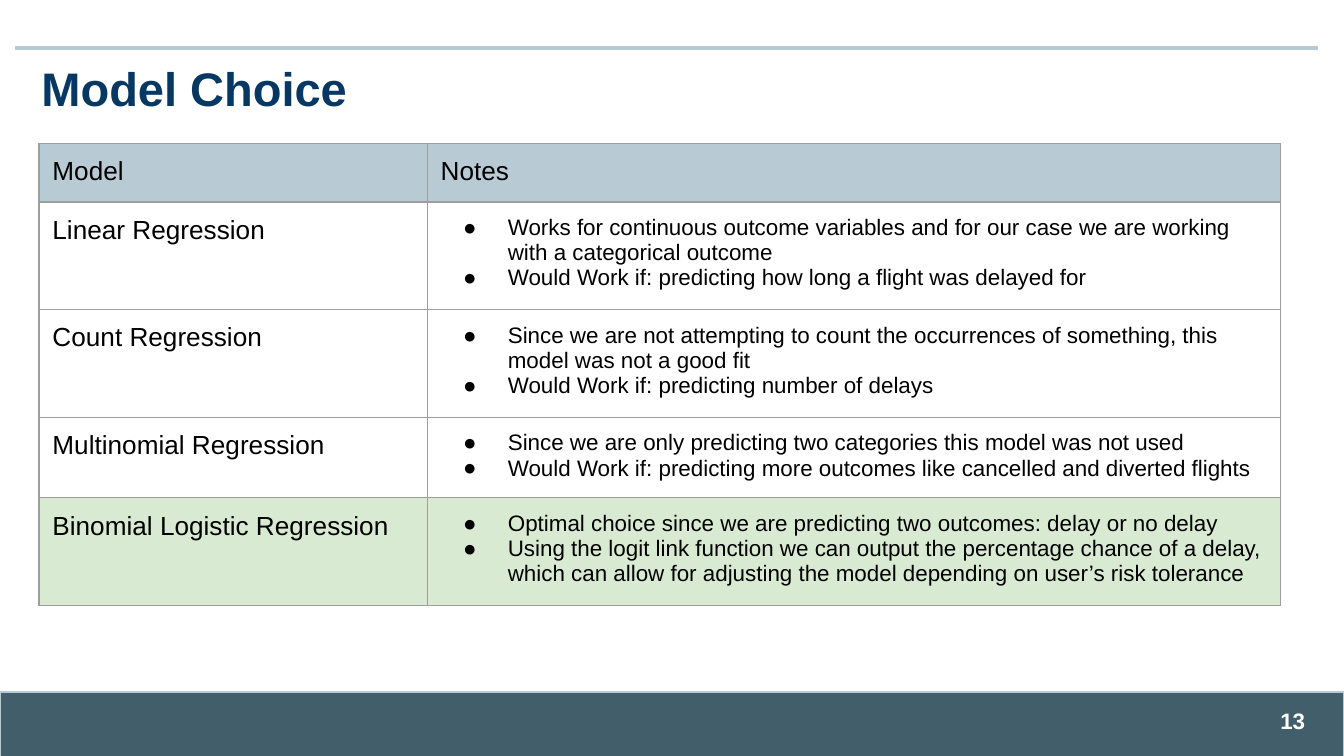
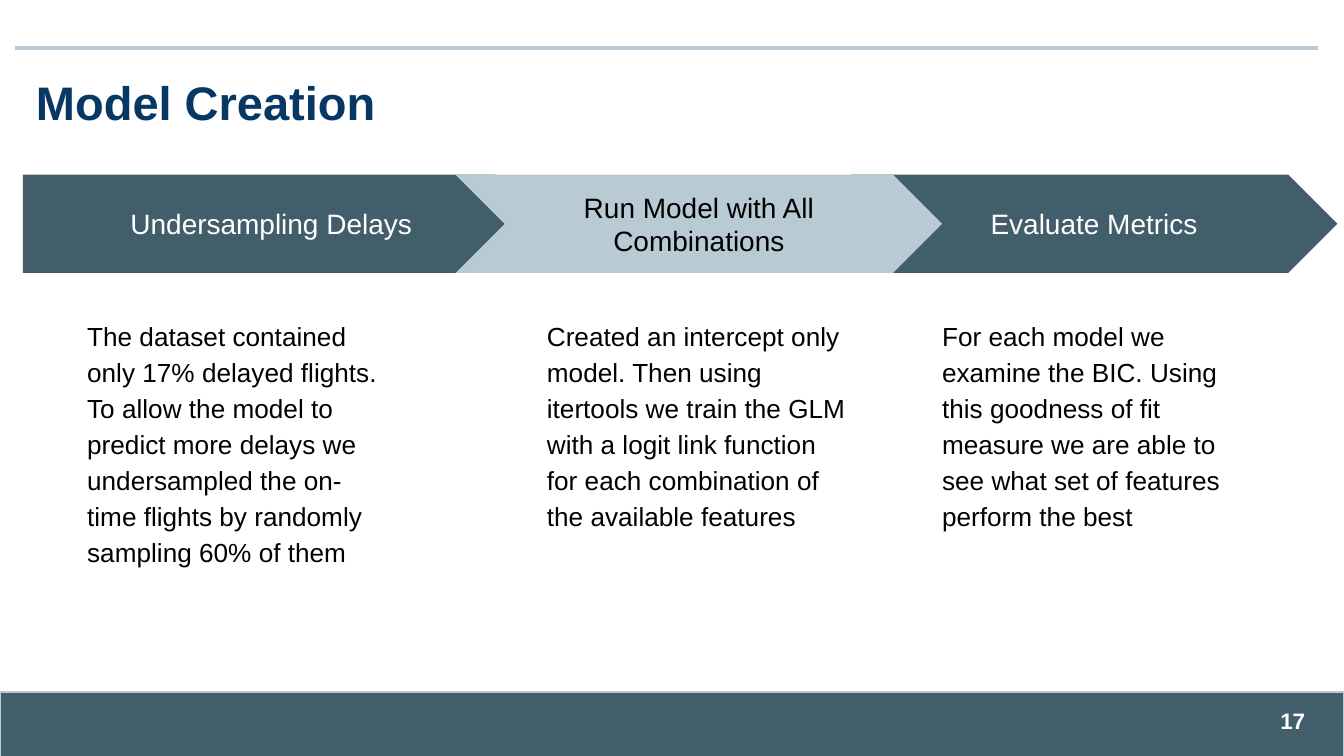
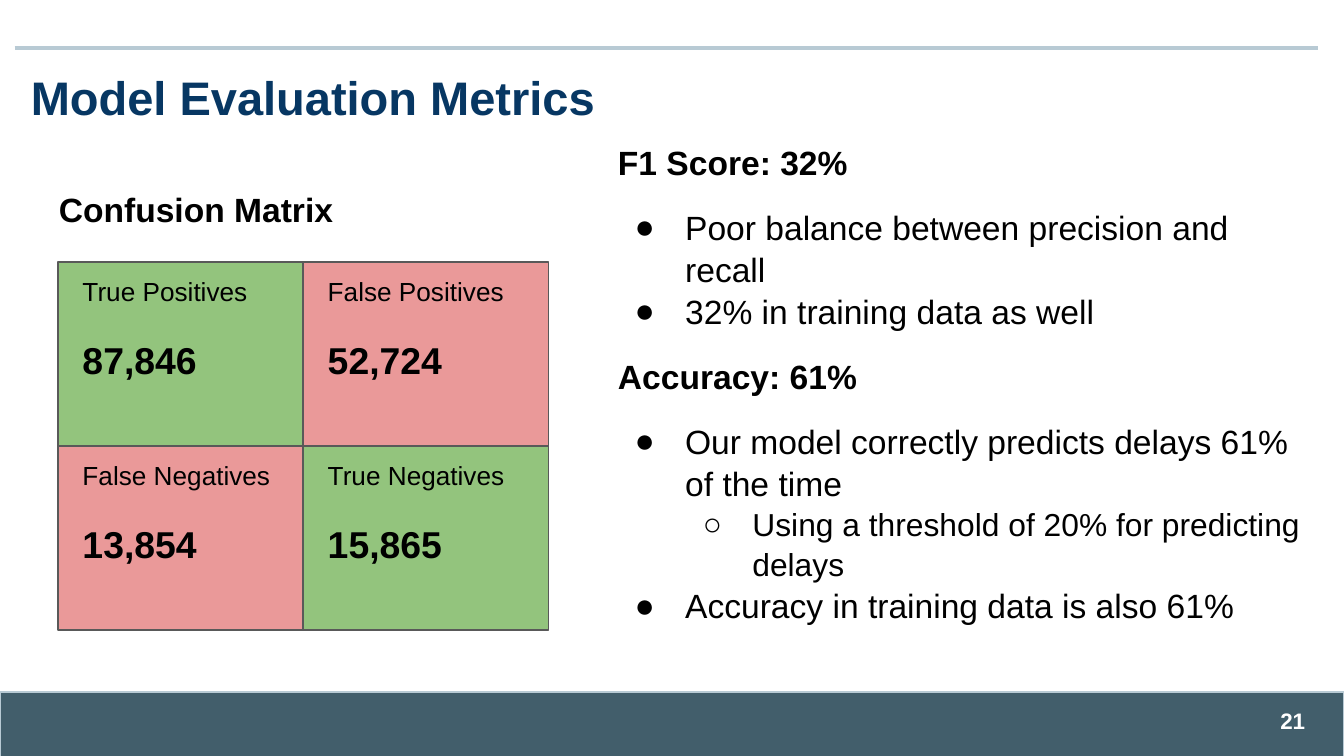
from lxml.etree import SubElement
from pptx import Presentation
from pptx.dml.color import RGBColor
from pptx.enum.shapes import MSO_CONNECTOR, MSO_SHAPE
from pptx.enum.text import MSO_ANCHOR, PP_ALIGN
from pptx.oxml.ns import qn
from pptx.util import Pt

COLORS = {
    "slate": "425E6B",
    "mist": "B8CAD4",
    "navy": "073763",
    "black": "000000",
    "white": "FFFFFF",
    "grid": "9E9E9E",
    "chosen": "D9EAD3",
    "right": "93C47D",
    "wrong": "EA9999",
    "outline": "595959",
}
FONT = "Arial"
INSET = 7.2
BLANK_LAYOUT = 6


def color(name):
    return RGBColor.from_string(COLORS[name])


def add_bullet(paragraph, symbol, indent, hanging):
    properties = paragraph._p.get_or_add_pPr()
    properties.set("marL", str(Pt(indent)))
    properties.set("indent", str(-Pt(hanging)))
    bullet_color = SubElement(properties, qn("a:buClr"))
    SubElement(bullet_color, qn("a:srgbClr"), val=COLORS["black"])
    SubElement(properties, qn("a:buFont"), typeface=FONT)
    SubElement(properties, qn("a:buChar"), char=symbol)


def write(frame, text, size=14, ink="black", bold=False, align=PP_ALIGN.LEFT,
          spacing=None, before=0, after=0, bullet=None, indent=36, hanging=24):
    """Add one paragraph, reusing the first one of an empty frame."""
    paragraph = frame.add_paragraph() if frame.text else frame.paragraphs[0]
    paragraph.alignment = align
    paragraph.space_before = Pt(before)
    paragraph.space_after = Pt(after)
    if spacing:
        paragraph.line_spacing = spacing
    if bullet:
        add_bullet(paragraph, bullet, indent, hanging)
    run = paragraph.add_run()
    run.text = text
    run.font.name = FONT
    run.font.size = Pt(size)
    run.font.bold = bold
    run.font.color.rgb = color(ink)


def prepare_frame(frame, anchor=MSO_ANCHOR.TOP, inset_y=INSET):
    frame.word_wrap = True
    frame.vertical_anchor = anchor
    frame.margin_left = frame.margin_right = Pt(INSET)
    frame.margin_top = frame.margin_bottom = Pt(inset_y)
    return frame


def add_text_box(slide, box, **frame_format):
    text_box = slide.shapes.add_textbox(*map(Pt, box))
    return prepare_frame(text_box.text_frame, **frame_format)


def add_filled_shape(slide, kind, box, fill, line=None, line_width=0.75):
    shape = slide.shapes.add_shape(kind, *map(Pt, box))
    shape.shadow.inherit = False
    shape.fill.solid()
    shape.fill.fore_color.rgb = color(fill)
    if line:
        shape.line.color.rgb = color(line)
        shape.line.width = Pt(line_width)
    else:
        shape.line.fill.background()
    return shape


def add_top_rule(slide, left, right, y):
    rule = slide.shapes.add_connector(
        MSO_CONNECTOR.STRAIGHT, Pt(left), Pt(y), Pt(right), Pt(y))
    rule.line.color.rgb = color("mist")
    rule.line.width = Pt(2)
    SubElement(rule._element.spPr, qn("a:effectLst"))


def add_footer(slide, box, number):
    left, top, width, height = box
    add_filled_shape(slide, MSO_SHAPE.RECTANGLE, box, "slate", "mist", 1)
    number_box = (left + width - 54, top + 4.3, 40.3, 21.6)
    frame = add_text_box(slide, number_box, anchor=MSO_ANCHOR.MIDDLE, inset_y=3.6)
    write(frame, number, size=12, ink="white", bold=True, align=PP_ALIGN.RIGHT)


def start_slide(presentation, title, title_left, title_top, number):
    slide = presentation.slides.add_slide(presentation.slide_layouts[BLANK_LAYOUT])
    add_footer(slide, (0, 370.8, 720, 35.3), number)
    add_top_rule(slide, 7.9, 706.3, 25.9)
    frame = add_text_box(slide, (title_left, title_top, 671, 45.4))
    write(frame, title, size=25.2, ink="navy", bold=True)
    return slide


def format_cell(cell, fill):
    prepare_frame(cell.text_frame)
    cell.margin_left = cell.margin_right = Pt(INSET)
    cell.margin_top = cell.margin_bottom = Pt(INSET)
    properties = cell._tc.get_or_add_tcPr()
    for side in ("lnL", "lnR", "lnT", "lnB"):
        border = SubElement(properties, qn(f"a:{side}"), w=str(Pt(0.75)))
        border_fill = SubElement(border, qn("a:solidFill"))
        SubElement(border_fill, qn("a:srgbClr"), val=COLORS["grid"])
    if fill:
        cell.fill.solid()
        cell.fill.fore_color.rgb = color(fill)
    else:
        cell.fill.background()


def add_model_table(slide, left, top, column_widths, rows):
    """Each row is (height, fill, model, notes); a plain string is a heading."""
    heights = [row[0] for row in rows]
    table = slide.shapes.add_table(
        len(rows), len(column_widths), Pt(left), Pt(top),
        Pt(sum(column_widths)), Pt(sum(heights))).table
    table.first_row = table.horz_banding = False
    for column, width in zip(table.columns, column_widths):
        column.width = Pt(width)
    for index, (height, fill, model, notes) in enumerate(rows):
        table.rows[index].height = Pt(height)
        model_cell, notes_cell = table.rows[index].cells
        for cell in (model_cell, notes_cell):
            format_cell(cell, fill)
        write(model_cell.text_frame, model)
        if isinstance(notes, str):
            write(notes_cell.text_frame, notes)
        else:
            for note in notes:
                write(notes_cell.text_frame, note, size=12, bullet="●")


def add_step(slide, kind, box, text_indent, fill, ink, heading, description):
    left, top, width, height = box
    arrow = add_filled_shape(slide, kind, box, fill)
    frame = prepare_frame(arrow.text_frame, anchor=MSO_ANCHOR.MIDDLE)
    write(frame, heading, size=15, ink=ink, align=PP_ALIGN.CENTER)
    frame = add_text_box(slide, (left + text_indent, top + 68.4, 176.4, 206))
    write(frame, description, spacing=1.15)


def add_confusion_matrix(slide, box, cells):
    left, top, width, height = box
    cell_width, cell_height = width / 2, height / 2
    for index, (label, count, fill) in enumerate(cells):
        row, column = divmod(index, 2)
        x, y = left + column * cell_width, top + row * cell_height
        add_filled_shape(slide, MSO_SHAPE.RECTANGLE,
                         (x, y, cell_width, cell_height), fill, "outline")
        frame = add_text_box(slide, (x + 6.1, y, 118.8, 16))
        write(frame, label)
        write(frame, count, size=20, bold=True, before=16)


def add_scores(slide, box):
    frame = add_text_box(slide, box)
    heading = {"size": 18, "bold": True, "spacing": 1.05}
    point = {"size": 18, "spacing": 1.05, "bullet": "●", "hanging": 27}
    detail = {"size": 17, "spacing": 1.05, "bullet": "○", "indent": 72, "hanging": 26.5}
    write(frame, "F1 Score: 32%", **heading)
    write(frame, "Poor balance between precision and recall", before=12, **point)
    write(frame, "32% in training data as well", **point)
    write(frame, "Accuracy: 61%", before=12, **heading)
    write(frame, "Our model correctly predicts delays 61% of the time", before=12, **point)
    write(frame, "Using a threshold of 20% for predicting delays", **detail)
    write(frame, "Accuracy in training data is also 61%", **point)


def build_model_choice(presentation):
    slide = start_slide(presentation, "Model Choice", 15.1, 24.5, "13")
    add_model_table(slide, 20.9, 77, (208, 457), [
        (30, "mist", "Model", "Notes"),
        (54.6, None, "Linear Regression", (
            "Works for continuous outcome variables and for our case we are working "
            "with a categorical outcome",
            "Would Work if: predicting how long a flight was delayed for")),
        (54.6, None, "Count Regression", (
            "Since we are not attempting to count the occurrences of something, this "
            "model was not a good fit",
            "Would Work if: predicting number of delays")),
        (41.2, None, "Multinomial Regression", (
            "Since we are only predicting two categories this model was not used",
            "Would Work if: predicting more outcomes like cancelled and diverted flights")),
        (54.6, "chosen", "Binomial Logistic Regression", (
            "Optimal choice since we are predicting two outcomes: delay or no delay",
            "Using the logit link function we can output the percentage chance of a delay, "
            "which can allow for adjusting the model depending on user’s risk tolerance")),
    ])


def build_model_creation(presentation):
    slide = start_slide(presentation, "Model Creation", 12.2, 32.4, "17")
    top, height = 93.6, 52.6
    chevron_left, chevron_step, chevron_width = 244.1, 211.7, 260.6
    # The middle chevron overlaps both neighbours, so it comes last.
    add_step(slide, MSO_SHAPE.CHEVRON,
             (chevron_left + chevron_step, top, chevron_width, height), 41.8,
             "slate", "white", "Evaluate Metrics",
             "For each model we examine the BIC. Using this goodness of fit measure "
             "we are able to see what set of features perform the best")
    add_step(slide, MSO_SHAPE.PENTAGON, (12.2, top, 279.4, height), 27.4,
             "slate", "white", "Undersampling Delays",
             "The dataset contained only 17% delayed flights. To allow the model to "
             "predict more delays we undersampled the on-time flights by randomly "
             "sampling 60% of them")
    add_step(slide, MSO_SHAPE.CHEVRON, (chevron_left, top, chevron_width, height), 41.8,
             "mist", "black", "Run Model with All Combinations",
             "Created an intercept only model. Then using itertools we train the GLM "
             "with a logit link function for each combination of the available features")


def build_model_metrics(presentation):
    slide = start_slide(presentation, "Model Evaluation Metrics", 9.4, 29.5, "21")
    frame = add_text_box(slide, (24.5, 90.7, 335.5, 269.3))
    write(frame, "Confusion Matrix", size=18, bold=True, spacing=1.15, after=12)
    add_confusion_matrix(slide, (31, 140.4, 262.8, 197.2), [
        ("True Positives", "87,846", "right"),
        ("False Positives", "52,724", "wrong"),
        ("False Negatives", "13,854", "wrong"),
        ("True Negatives", "15,865", "right"),
    ])
    add_scores(slide, (324, 67.7, 383.8, 291.6))


def main():
    presentation = Presentation()
    presentation.slide_width = Pt(720)
    presentation.slide_height = Pt(405)
    build_model_choice(presentation)
    build_model_creation(presentation)
    build_model_metrics(presentation)
    presentation.save("out.pptx")


if __name__ == "__main__":
    main()
